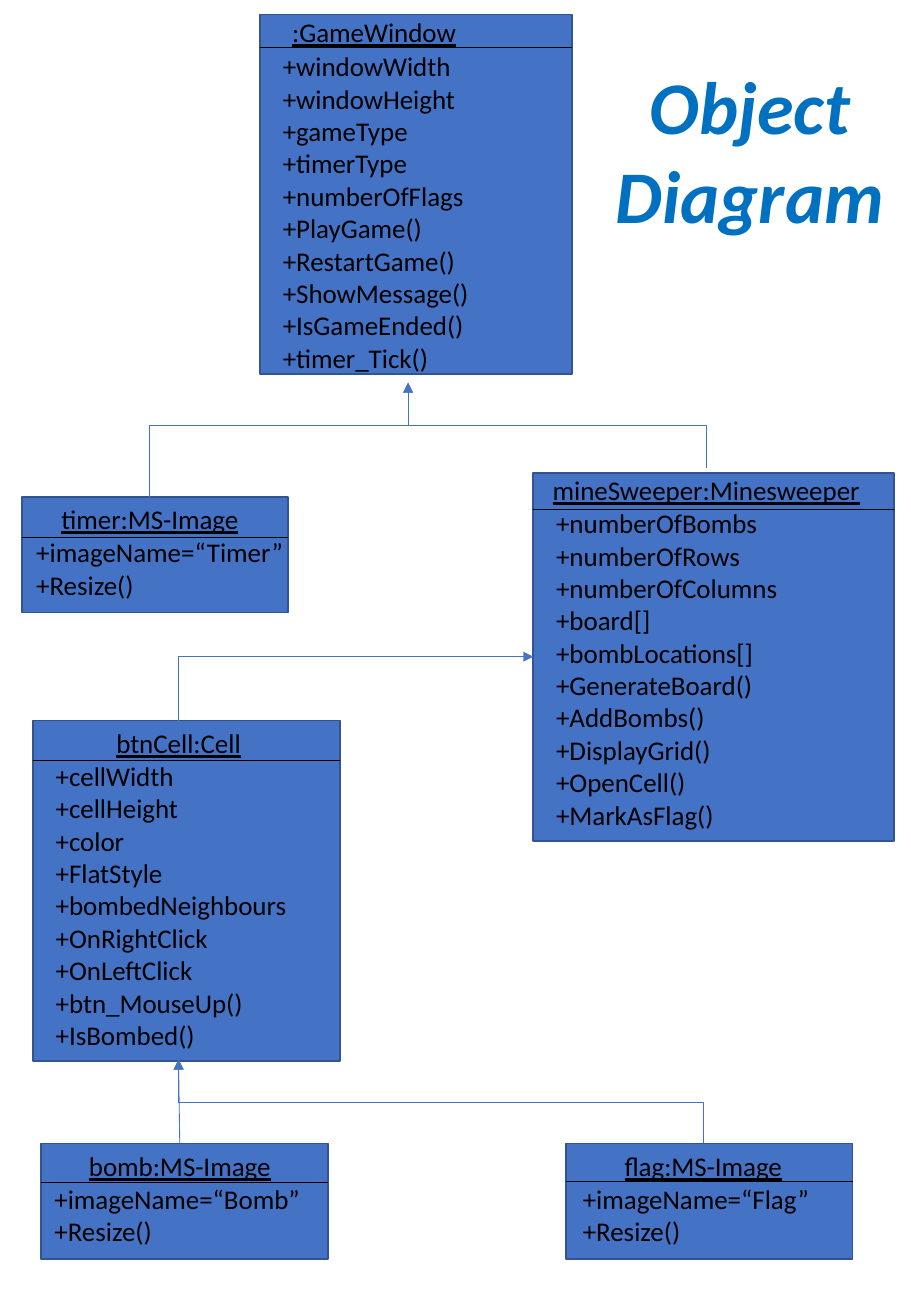
from lxml import etree
from pptx import Presentation
from pptx.dml.color import RGBColor
from pptx.enum.shapes import MSO_CONNECTOR, MSO_SHAPE
from pptx.enum.text import MSO_AUTO_SIZE, PP_ALIGN
from pptx.oxml.ns import qn
from pptx.util import Pt

RECT = MSO_SHAPE.RECTANGLE
LINE, ELBOW = MSO_CONNECTOR.STRAIGHT, MSO_CONNECTOR.ELBOW
LEFT, CENTER = PP_ALIGN.LEFT, PP_ALIGN.CENTER
GROW = MSO_AUTO_SIZE.SHAPE_TO_FIT_TEXT
TOP, SIDE, BOTTOM = 0, 1, 2  # connection sites

PX = 9144  # 100 px to the inch
BLUE, EDGE, BLACK, TITLE = "4472C4", "325491", "000000", "0070C0"
PLAIN = {"name": "Calibri", "size": Pt(16)}
HEAD = {**PLAIN, "underline": True}
BIG = {"name": "Calibri", "size": Pt(44), "bold": True, "italic": True}
HEAD_H = 37

# Per object: box, rule y, heading (x, y, w), members (x, y, w), texts
OBJECTS = {
    "window": ((214, 12, 257, 296), 39, (195, 8, 226), (223, 36, 226),
               ":GameWindow",
               ["+windowWidth", "+windowHeight", "+gameType", "+timerType",
                "+numberOfFlags", "+PlayGame()", "+RestartGame()",
                "+ShowMessage()", "+IsGameEnded()", "+timer_Tick()"]),
    "cell": ((27, 593, 253, 280), 626, (36, 593, 222), (36, 620, 222),
             "btnCell:Cell",
             ["+cellWidth", "+cellHeight", "+color", "+FlatStyle",
              "+bombedNeighbours", "+OnRightClick", "+OnLeftClick",
              "+btn_MouseUp()", "+IsBombed()"]),
    "flag": ((466, 941, 236, 95), 972, (475, 941, 208), (470, 968, 235),
             "flag:MS-Image", ["+imageName=“Flag”", "+Resize()"]),
    "mines": ((439, 389, 297, 303), 419, (443, 385, 277), (448, 412, 261),
              "mineSweeper:Minesweeper",
              ["+numberOfBombs", "+numberOfRows", "+numberOfColumns",
               "+board[]", "+bombLocations[]", "+GenerateBoard()",
               "+AddBombs()", "+DisplayGrid()", "+OpenCell()",
               "+MarkAsFlag()"]),
    "bomb": ((34, 941, 236, 95), 973, (44, 941, 208), (35, 968, 246),
             "bomb:MS-Image", ["+imageName=“Bomb”", "+Resize()"]),
    "timer": ((18, 409, 219, 95), 442, (27, 409, 193), (20, 436, 226),
              "timer:MS-Image", ["+imageName=“Timer”", "+Resize()"]),
}


def emu(*vals):
    return [v * PX for v in vals]


def paint(fmt, color):
    fmt.solid()
    fmt.fore_color.rgb = RGBColor.from_string(color)


def add_text(slide, box, lines, style, color=BLACK, align=LEFT):
    shape = slide.shapes.add_textbox(*emu(*box))
    frame = shape.text_frame
    frame.word_wrap = True
    frame.auto_size = GROW
    frame.text = "\n".join(lines)
    for para in frame.paragraphs:
        para.alignment = align
        font = para.runs[0].font
        for key, val in style.items():
            setattr(font, key, val)
        paint(font.fill, color)
    return shape


def add_line(slide, kind, ends, color):
    line = slide.shapes.add_connector(kind, *emu(*ends))
    paint(line.line.fill, color)
    line.line.width = Pt(0.5)
    etree.SubElement(line._element.spPr, qn("a:effectLst"))
    return line


def add_object(slide, box, rule, head, body, name, lines):
    """Draw one object and return its box, heading and members."""
    x, _, w, _ = box
    rect = slide.shapes.add_shape(RECT, *emu(*box))
    rect.shadow.inherit = False
    paint(rect.fill, BLUE)
    paint(rect.line.fill, EDGE)
    rect.line.width = Pt(1)
    add_line(slide, LINE, (x, rule, x + w, rule), BLACK)
    top = add_text(slide, (*head, HEAD_H), [name], HEAD, align=CENTER)
    tall = round(26.9 * len(lines)) + 10
    text = add_text(slide, (*body, tall), lines, PLAIN)
    return rect, top, text


def add_arrow(slide, kind, start, end, site):
    """Join the top of start to a site of end."""
    arrow = add_line(slide, kind, (0, 0, 0, 0), BLUE)
    arrow.begin_connect(start, TOP)
    arrow.end_connect(end, site)
    ln = arrow._element.spPr.find(qn("a:ln"))
    etree.SubElement(ln, qn("a:tailEnd"), type="triangle")
    return arrow


def add_bend(slide, start, end, site, mid=None):
    """Elbow that leaves upward; it turns at y = mid, or once if None."""
    arrow = add_arrow(slide, ELBOW, start, end, site)
    x1, y1, x2, y2 = arrow.begin_x, arrow.begin_y, arrow.end_x, arrow.end_y
    right = x2 > x1
    # A turned frame swaps width and height about the same centre
    wide, high = y1 - y2, abs(x2 - x1)
    arrow.left, arrow.top = (x1 + x2 - wide) // 2, (y1 + y2 - high) // 2
    arrow.width, arrow.height = wide, high
    form = arrow._element.spPr.find(qn("a:xfrm"))
    turn = {"rot": "5400000" if right else "16200000",
            "flipH": "1" if right else "0", "flipV": "1"}
    for key, val in turn.items():
        form.set(key, val)
    geom = arrow._element.spPr.find(qn("a:prstGeom"))
    if mid is None:
        geom.set("prst", "bentConnector2")
    else:
        part = round(100000 * (y1 - mid * PX) / wide)
        guides = geom.find(qn("a:avLst"))
        etree.SubElement(guides, qn("a:gd"), name="adj1", fmla=f"val {part}")


def main():
    prs = Presentation()
    prs.slide_width, prs.slide_height = emu(750, 1083)
    slide = prs.slides.add_slide(prs.slide_layouts[6])

    # Objects
    rect, head, body = {}, {}, {}
    for key, item in OBJECTS.items():
        rect[key], head[key], body[key] = add_object(slide, *item)

    # Links
    add_bend(slide, head["flag"], body["cell"], BOTTOM, 907)
    add_arrow(slide, LINE, head["bomb"], body["cell"], BOTTOM)
    add_bend(slide, head["cell"], rect["mines"], SIDE)
    for key in ("mines", "timer"):
        add_bend(slide, head[key], body["window"], BOTTOM, 350)

    # Title
    add_text(slide, (495, 45, 245, 158), ["Object Diagram"], BIG, TITLE, CENTER)
    prs.save("out.pptx")


if __name__ == "__main__":
    main()
